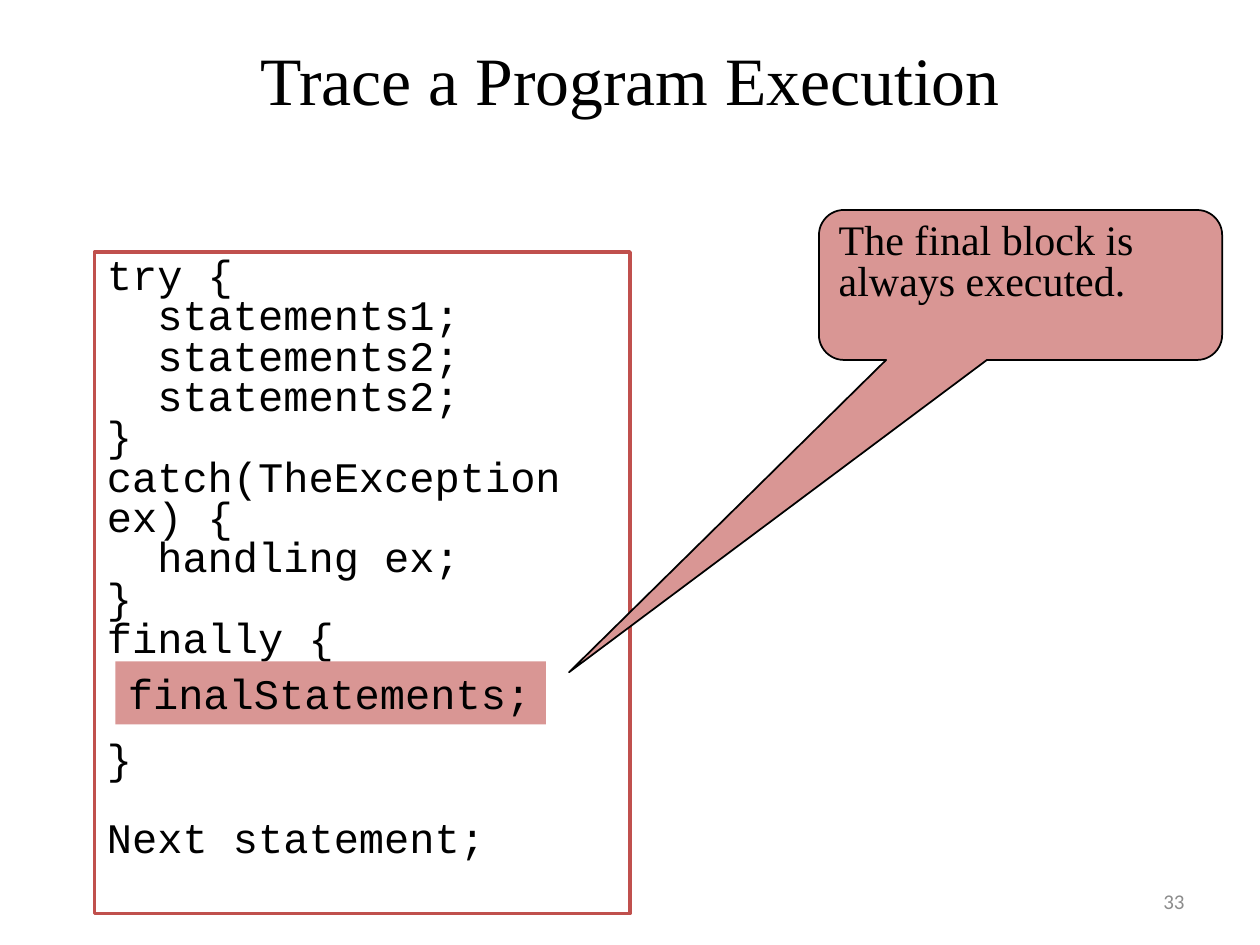
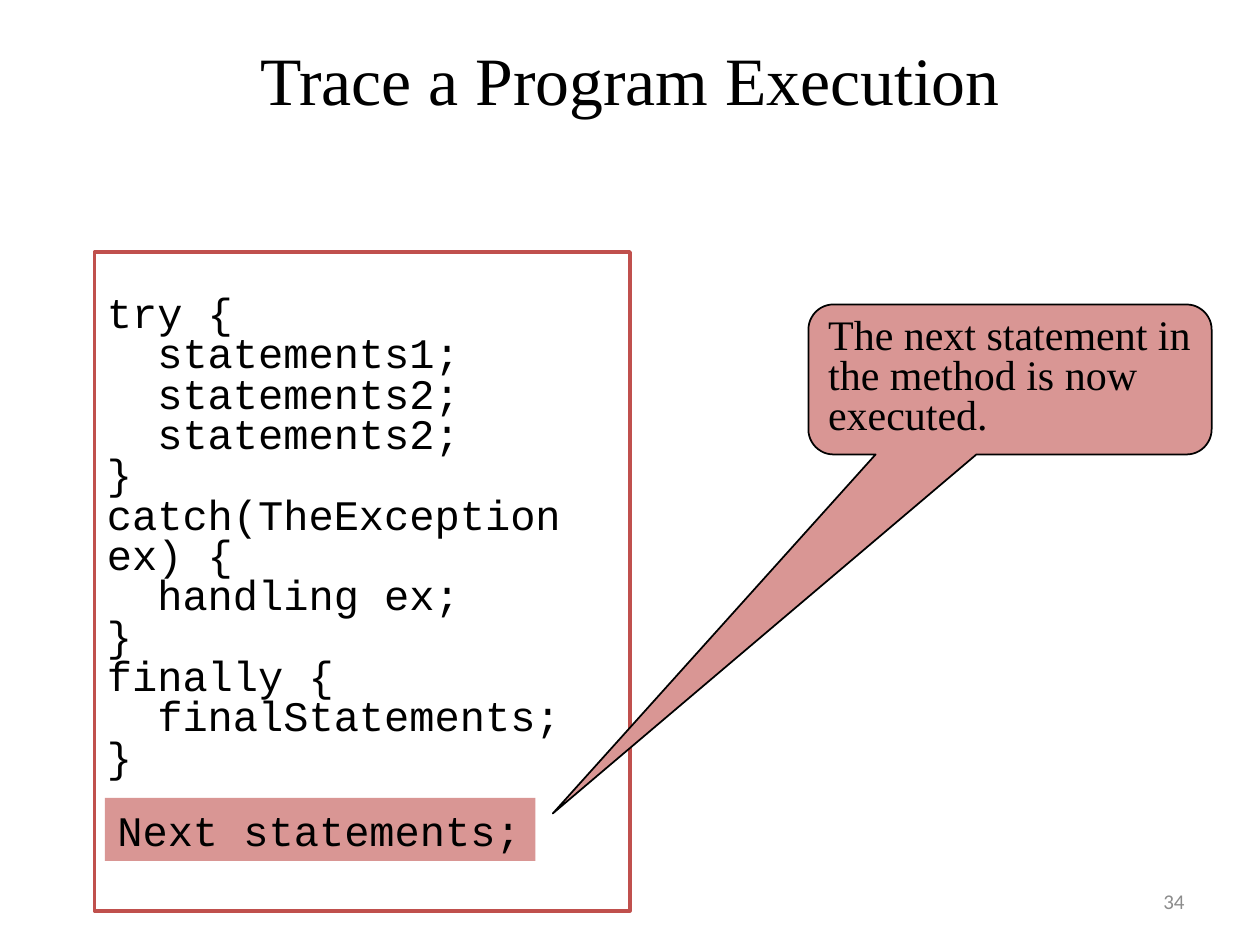
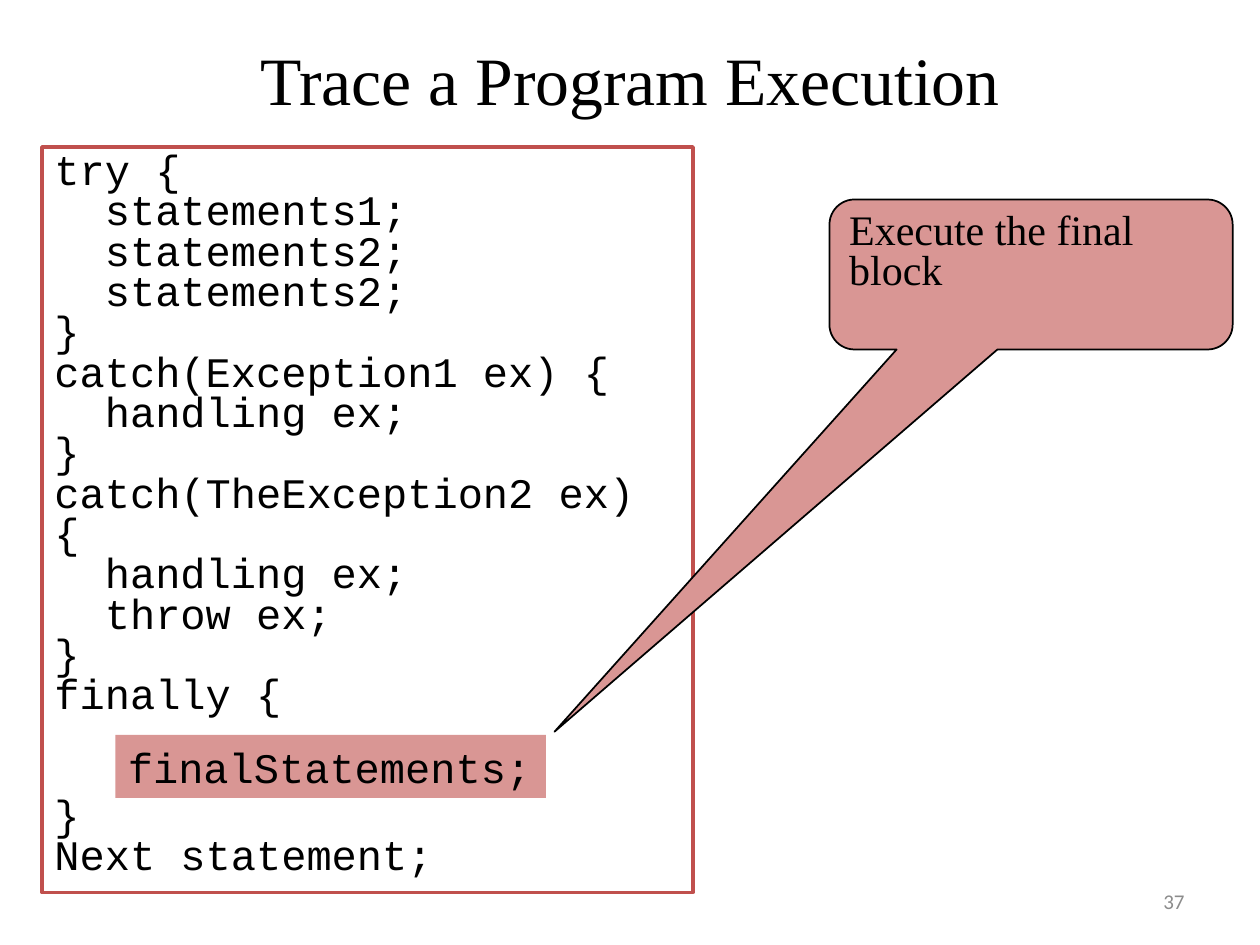
import pptx
import pptx.dml.color
import pptx.enum.shapes
import pptx.enum.text
import pptx.util

Pt = pptx.util.Pt
RGBColor = pptx.dml.color.RGBColor
SHAPE = pptx.enum.shapes.MSO_SHAPE
ALIGN = pptx.enum.text.PP_ALIGN
ANCHOR = pptx.enum.text.MSO_ANCHOR

BLACK = RGBColor(0x00, 0x00, 0x00)
WHITE = RGBColor(0xFF, 0xFF, 0xFF)
RED = RGBColor(0xC0, 0x50, 0x4D)
PINK = RGBColor(0xD9, 0x96, 0x94)
GRAY = RGBColor(0x8C, 0x8C, 0x8C)

SERIF, MONO, SANS = "Times New Roman", "Courier New", "Calibri"
BODY_SIZE = 24
TIGHT = 0.8
INSET = 3.6
CALLOUT_SIZE = (230.4, 85.7)
HIGHLIGHT_SIZE = (246, 36)
CORNER = 0.167

TITLE = "Trace a Program Execution"
TRY_BLOCK = ["try {", "  statements1;", "  statements2;", "  statements2;", "}"]
ONE_CATCH = ["catch(TheException ex) {", "  handling ex;", "}"]
TWO_CATCHES = ["catch(Exception1 ex) {", "  handling ex;", "}",
               "catch(TheException2 ex) {", "  handling ex;", "  throw ex;", "}"]

# "gaps" maps a code line's index to the space before it;
# "tip" is the callout tip as a share of its size, from its centre.
STEPS = [
    {
        "number": "33",
        "code": TRY_BLOCK + ONE_CATCH + ["finally {", "}", "Next statement;"],
        "code_box": (54, 144, 306, 378), "top_inset": INSET,
        "gaps": {9: 46, 10: 22},
        "callout": "The final block is always executed.",
        "callout_at": (468, 120), "tip": (-1.12, 2.583),
        "highlight": "finalStatements;", "highlight_at": (66, 378),
    },
    {
        "number": "34",
        "code": TRY_BLOCK + ONE_CATCH + ["finally {", "  finalStatements;", "}"],
        "code_box": (54, 144, 306, 376.5), "top_inset": 25.3,
        "gaps": {},
        "callout": "The next statement in the method is now executed.",
        "callout_at": (462, 174), "tip": (-1.134, 2.894),
        "highlight": "Next statements;", "highlight_at": (60, 456),
    },
    {
        "number": "37",
        "code": TRY_BLOCK + TWO_CATCHES + ["finally {", "}", "Next statement;"],
        "code_box": (24, 84, 372, 426), "top_inset": INSET,
        "gaps": {13: 46},
        "callout": "Execute the final block",
        "callout_at": (474, 114), "tip": (-1.182, 3.049),
        "highlight": "finalStatements;", "highlight_at": (66, 420),
    },
]


def write(shape, lines, font, size=BODY_SIZE, color=BLACK, align=ALIGN.LEFT,
          anchor=ANCHOR.TOP, spacing=1.0, gaps=None):
    frame = shape.text_frame
    frame.word_wrap = True
    frame.vertical_anchor = anchor
    for index, line in enumerate(lines):
        paragraph = frame.paragraphs[0] if index == 0 else frame.add_paragraph()
        paragraph.alignment = align
        paragraph.line_spacing = spacing
        if gaps and index in gaps:
            paragraph.space_before = Pt(gaps[index])
        run = paragraph.add_run()
        run.text = line
        run.font.name = font
        run.font.size = Pt(size)
        run.font.color.rgb = color


def add_text(slide, box, text, font, size, color, align):
    shape = slide.shapes.add_textbox(*map(Pt, box))
    write(shape, [text], font, size, color, align, ANCHOR.MIDDLE)


def add_box(slide, kind, box, fill, line=None, width=0):
    shape = slide.shapes.add_shape(kind, *map(Pt, box))
    shape.shadow.inherit = False
    shape.fill.solid()
    shape.fill.fore_color.rgb = fill
    if line is None:
        shape.line.fill.background()
    else:
        shape.line.color.rgb = line
        shape.line.width = Pt(width)
    return shape


def add_step(presentation, step):
    slide = presentation.slides.add_slide(presentation.slide_layouts[6])
    add_text(slide, (54, 24, 612, 42), TITLE, SERIF, 38.7, BLACK, ALIGN.CENTER)
    add_text(slide, (516, 500.5, 168, 28.75), step["number"], SANS, 12, GRAY, ALIGN.RIGHT)

    code = add_box(slide, SHAPE.RECTANGLE, step["code_box"], WHITE, RED, 2)
    code.text_frame.margin_top = Pt(step["top_inset"])
    write(code, step["code"], MONO, spacing=TIGHT, gaps=step["gaps"])

    callout = add_box(slide, SHAPE.ROUNDED_RECTANGULAR_CALLOUT,
                      step["callout_at"] + CALLOUT_SIZE, PINK, BLACK, 1)
    for index, value in enumerate(step["tip"] + (CORNER,)):
        callout.adjustments[index] = value
    write(callout, [step["callout"]], SERIF, spacing=TIGHT)

    highlight = add_box(slide, SHAPE.RECTANGLE, step["highlight_at"] + HIGHLIGHT_SIZE, PINK)
    write(highlight, [step["highlight"]], MONO)


def main():
    presentation = pptx.Presentation()
    presentation.slide_width = Pt(720)
    presentation.slide_height = Pt(540)
    for step in STEPS:
        add_step(presentation, step)
    presentation.save("out.pptx")


if __name__ == "__main__":
    main()
